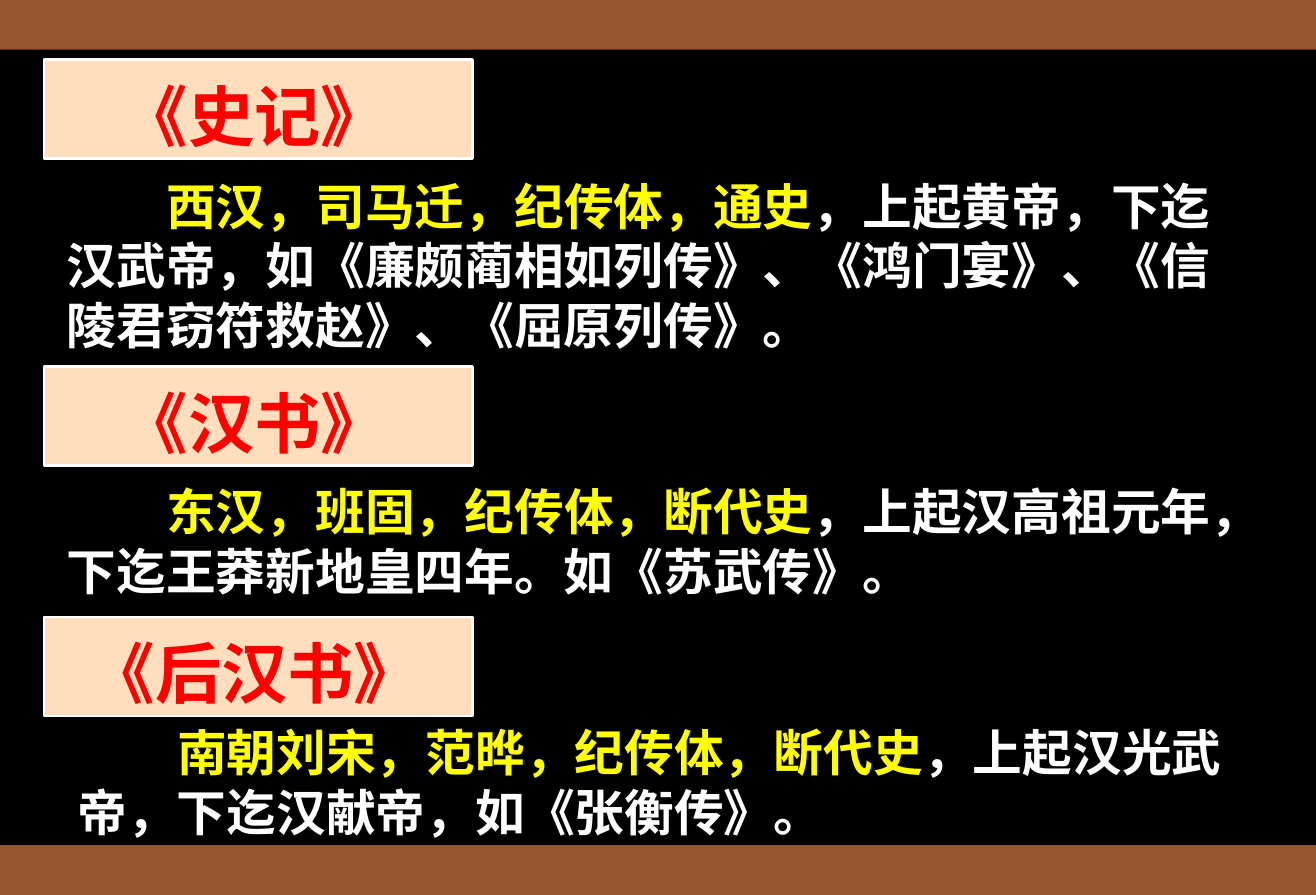
from pptx import Presentation
from pptx.dml.color import RGBColor
from pptx.enum.lang import MSO_LANGUAGE_ID as Language
from pptx.enum.shapes import MSO_SHAPE as Preset
from pptx.enum.text import MSO_ANCHOR as Anchor, PP_ALIGN as Align
from pptx.util import Cm, Pt

# heading, heading top, key facts, coverage, description left / top / width / height (cm)
HISTORIES = [
    ("《史记》", 1.27, "西汉，司马迁，纪传体，通史",
     "，上起黄帝，下迄汉武帝，如《廉颇蔺相如列传》、《鸿门宴》、《信陵君窃符救赵》、《屈原列传》。",
     (1.17, 3.61, 25.65, 4.06)),
    ("《汉书》", 7.8, "东汉，班固，纪传体，断代史",
     "，上起汉高祖元年，下迄王莽新地皇四年。如《苏武传》。",
     (1.17, 10.11, 26.14, 2.79)),
    ("《后汉书》", 13.13, "南朝刘宋，范晔，纪传体，断代史",
     "，上起汉光武帝，下迄汉献帝，如《张衡传》。",
     (1.4, 15.24, 25.43, 2.79)),
]
COLORS = {"background": "000000", "band": "95562F", "plate": "FFDEBD",
          "heading": "FF0000", "facts": "FFFF00", "text": "FFFFFF"}
HEADING_FONT, BODY_FONT = "Noto Sans CJK JP", "Times New Roman"
HEADING_SIZE, BODY_SIZE = 40, 30
SLIDE_WIDTH, SLIDE_HEIGHT, BAND_HEIGHT = 28, 19.05, 1.06
PLATE_LEFT, PLATE_WIDTH, PLATE_HEIGHT = 0.94, 9.12, 2.11


def color(part):
    return RGBColor.from_string(COLORS[part])


def add_block(slide, left, top, width, height, fill):
    block = slide.shapes.add_shape(
        Preset.RECTANGLE, Cm(left), Cm(top), Cm(width), Cm(height))
    block.shadow.inherit = False
    block.fill.solid()
    block.fill.fore_color.rgb = color(fill)
    block.line.fill.background()
    return block


def add_run(paragraph, words, size, font_name, part):
    run = paragraph.add_run()
    run.text = words
    font = run.font
    font.size, font.bold, font.name = Pt(size), True, font_name
    font.color.rgb = color(part)
    font.language_id = Language.SIMPLIFIED_CHINESE


def add_heading(slide, heading, top):
    plate = add_block(slide, PLATE_LEFT, top, PLATE_WIDTH, PLATE_HEIGHT, "plate")
    plate.line.fill.solid()
    plate.line.fill.fore_color.rgb = color("text")
    plate.line.width = Pt(1.5)
    frame = plate.text_frame
    frame.vertical_anchor = Anchor.MIDDLE
    frame.margin_top, frame.margin_bottom = Cm(0.25), Cm(0)
    frame.margin_left, frame.margin_right = Cm(0.1), Cm(0.27)
    paragraph = frame.paragraphs[0]
    paragraph.alignment = Align.CENTER
    add_run(paragraph, heading, HEADING_SIZE, HEADING_FONT, "heading")


def add_description(slide, facts, coverage, box):
    frame = slide.shapes.add_textbox(*map(Cm, box)).text_frame
    frame.word_wrap = True
    paragraph = frame.paragraphs[0]
    # First line starts two characters in
    properties = paragraph._p.get_or_add_pPr()
    properties.set("marL", "0")
    properties.set("indent", str(Pt(2 * BODY_SIZE)))
    add_run(paragraph, facts, BODY_SIZE, BODY_FONT, "facts")
    add_run(paragraph, coverage, BODY_SIZE, BODY_FONT, "text")


def main():
    deck = Presentation()
    deck.slide_width, deck.slide_height = Cm(SLIDE_WIDTH), Cm(SLIDE_HEIGHT)
    slide = deck.slides.add_slide(deck.slide_layouts.get_by_name("Blank"))
    slide.background.fill.solid()
    slide.background.fill.fore_color.rgb = color("background")
    for top in (0, SLIDE_HEIGHT - BAND_HEIGHT):
        add_block(slide, 0, top, SLIDE_WIDTH, BAND_HEIGHT, "band")
    for heading, top, facts, coverage, box in HISTORIES:
        add_heading(slide, heading, top)
        add_description(slide, facts, coverage, box)
    deck.save("out.pptx")


if __name__ == "__main__":
    main()
